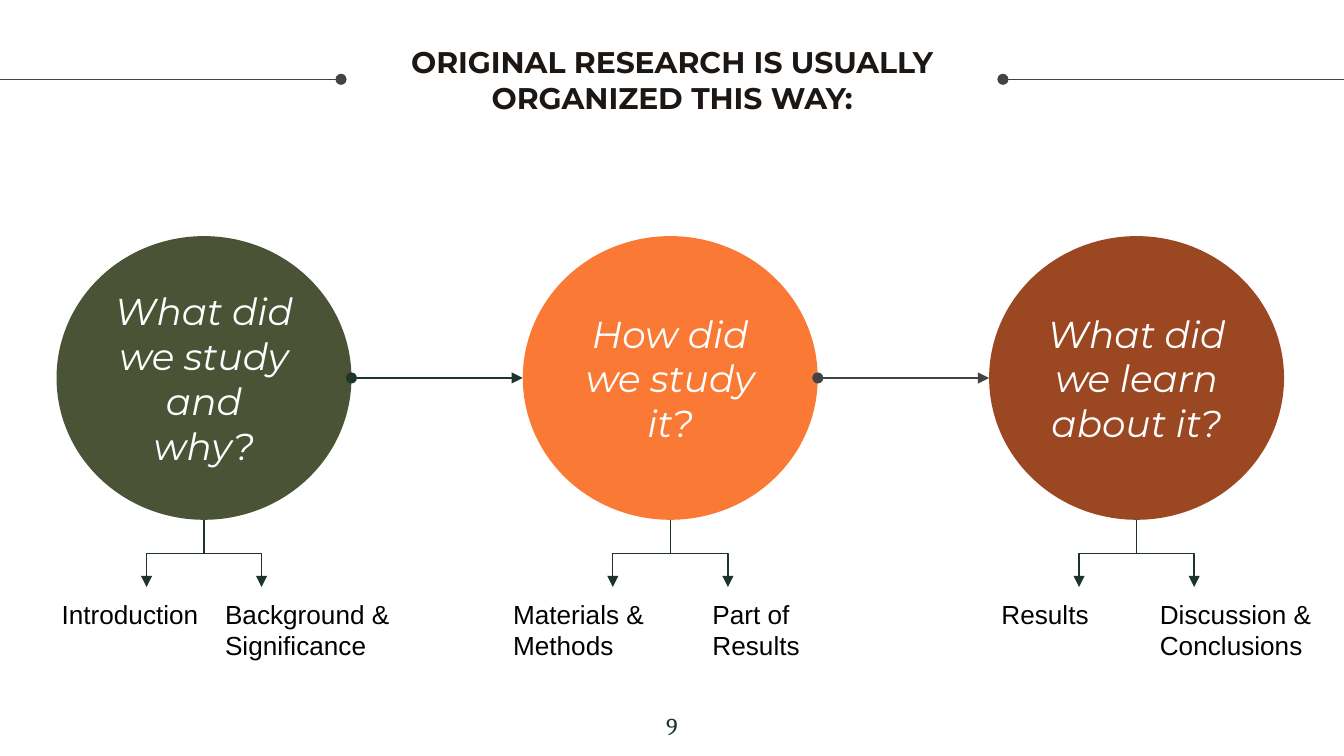
from dataclasses import dataclass

from lxml.etree import SubElement
from pptx import Presentation
from pptx.dml.color import RGBColor
from pptx.enum.shapes import MSO_CONNECTOR as Connector, MSO_SHAPE as Shape
from pptx.enum.text import MSO_ANCHOR as Anchor, MSO_AUTO_SIZE as AutoSize, PP_ALIGN as Align
from pptx.oxml.ns import qn
from pptx.util import Pt


@dataclass(frozen=True)
class Theme:
    title: str = "1D1714"
    white: str = "FFFFFF"
    black: str = "000000"
    gray: str = "434343"
    dark_green: str = "1E3628"
    branch: str = "1D3527"
    olive: str = "4A5335"
    orange: str = "FA7A35"
    rust: str = "9B4722"
    heading_font: str = "Montserrat"
    label_font: str = "Arial"
    number_font: str = "Cambria"
    title_size: int = 16
    question_size: int = 20
    label_size: int = 14
    number_size: int = 13


theme = Theme()


def write(shape, text, font, size, color, align=Align.CENTER, anchor=Anchor.MIDDLE, inset=7.2):
    frame = shape.text_frame
    frame.text = text
    frame.word_wrap = True
    frame.auto_size = AutoSize.NONE
    frame.vertical_anchor = anchor
    frame.margin_left = frame.margin_right = Pt(7.2)
    frame.margin_top = frame.margin_bottom = Pt(inset)
    paragraph = frame.paragraphs[0]
    paragraph.alignment = align
    paragraph.font.name = font
    paragraph.font.size = Pt(size)
    paragraph.font.color.rgb = RGBColor.from_string(color)
    return paragraph


def connect(kind, start, end, color, head=None, tail=None):
    connector = slide.shapes.add_connector(kind, *map(Pt, start + end))
    connector.line.color.rgb = RGBColor.from_string(color)
    connector.line.width = Pt(0.75)
    properties = connector._element.spPr
    outline = properties.find(qn("a:ln"))
    for tag, arrow in (("a:headEnd", head), ("a:tailEnd", tail)):
        if arrow:
            SubElement(outline, qn(tag), type=arrow, w="med", len="med")
    SubElement(properties, qn("a:effectLst"))
    return connector


presentation = Presentation()
presentation.slide_width, presentation.slide_height = Pt(720), Pt(405)
slide = presentation.slides.add_slide(presentation.slide_layouts[5])

# Title between two rules
for start_x, end_x in ((182.7, -2), (537.3, 721)):
    connect(Connector.STRAIGHT, (start_x, 42.5), (end_x, 42.5), theme.gray, head="oval")
title = slide.shapes.title
title.left, title.top, title.width, title.height = map(Pt, (182.7, 8.7, 355, 67.7))
paragraph = write(title, "ORIGINAL RESEARCH IS USUALLY ORGANIZED THIS WAY:",
                  theme.heading_font, theme.title_size, theme.title)
paragraph.font.bold = True

# Each question: text, fill, and its two labels as (text, left, width)
questions = [
    ("What did we study and why?", theme.olive,
     [("Introduction", 25.9, 98.6), ("Background & Significance", 113.5, 103.7)]),
    ("How did we study it?", theme.orange,
     [("Materials & Methods", 267.8, 98.6), ("Part of Results", 374.6, 62.6)]),
    ("What did we learn about it?", theme.rust,
     [("Results", 529.4, 98.6), ("Discussion & Conclusions", 614.3, 98.6)]),
]
first_left, pitch, top, width, height = 30.3, 249.8, 126.5, 158, 152
bottom, middle = top + height, top + height / 2
branch_height, branch_reach = 36, 30.8

for index, (question, fill, labels) in enumerate(questions):
    left = first_left + index * pitch
    center = left + width / 2

    # Question circle
    circle = slide.shapes.add_shape(Shape.OVAL, Pt(left), Pt(top), Pt(width), Pt(height))
    circle.shadow.inherit = False
    circle.fill.solid()
    circle.fill.fore_color.rgb = RGBColor.from_string(fill)
    circle.line.fill.background()
    paragraph = write(circle, question, theme.heading_font, theme.question_size, theme.white)
    paragraph.font.italic = True

    # Branches: elbows turned a quarter so that they leave downwards
    for side, (label, label_left, label_width) in zip((-1, 1), labels):
        box_left = center + side * branch_reach / 2 - branch_height / 2
        box_right = box_left + branch_height
        box_top = bottom + branch_height / 2 - branch_reach / 2
        start_x, end_x = (box_left, box_right) if side < 0 else (box_right, box_left)
        branch = connect(Connector.ELBOW, (start_x, box_top), (end_x, box_top + branch_reach),
                         theme.branch, tail="triangle")
        quarter_turn = 90 if side < 0 else 270
        branch._element.spPr.find(qn("a:xfrm")).set("rot", str(quarter_turn * 60000))

        text_box = slide.shapes.add_textbox(Pt(label_left), Pt(316.8), Pt(label_width), Pt(41))
        write(text_box, label, theme.label_font, theme.label_size, theme.black,
              Align.LEFT, Anchor.TOP, 3.6)

# Arrows from circle to circle
for index, color in enumerate((theme.dark_green, theme.gray)):
    left = first_left + index * pitch
    connect(Connector.STRAIGHT, (left + width, middle), (left + pitch, middle),
            color, head="oval", tail="triangle")

# Page number
number = slide.shapes.add_textbox(Pt(338.4), Pt(373.7), Pt(43.2), Pt(31))
write(number, "9", theme.number_font, theme.number_size, theme.dark_green, anchor=Anchor.TOP)

presentation.save("out.pptx")
